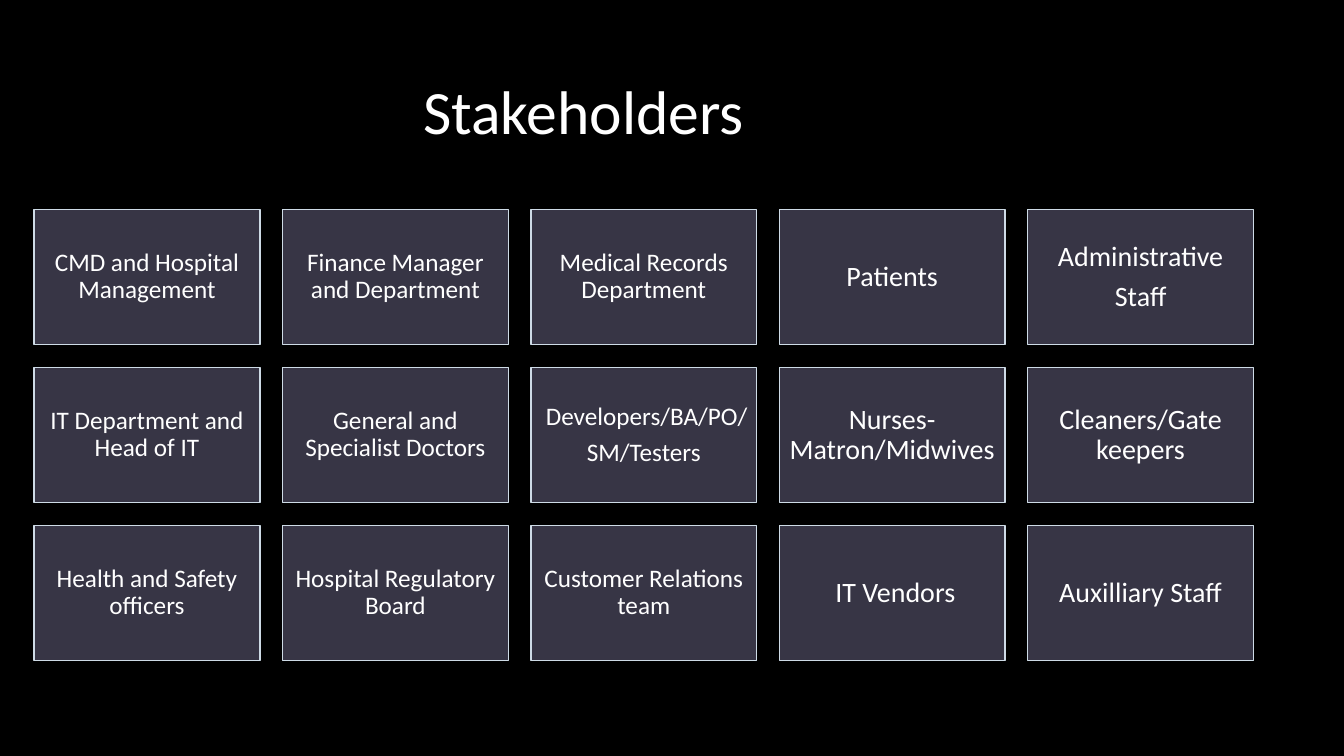
from pptx import Presentation
from pptx.dml.color import RGBColor
from pptx.enum.shapes import MSO_SHAPE
from pptx.enum.text import MSO_ANCHOR, MSO_AUTO_SIZE, PP_ALIGN
from pptx.util import Cm, Pt

RECTANGLE = MSO_SHAPE.RECTANGLE
MIDDLE = MSO_ANCHOR.MIDDLE
NO_AUTOFIT = MSO_AUTO_SIZE.NONE
LEFT, CENTER = PP_ALIGN.LEFT, PP_ALIGN.CENTER

# Content: rows of cards, each card a tuple of paragraphs
TITLE = "Stakeholders"
STAKEHOLDERS = [
    [("CMD and Hospital Management",), ("Finance Manager and Department",),
     ("Medical Records Department",), ("Patients",),
     ("Administrative", "Staff")],
    [("IT Department and Head of IT",), ("General and Specialist Doctors",),
     (" Developers/BA/PO/", "SM/Testers"), ("Nurses- Matron/Midwives",),
     ("Cleaners/Gate keepers",)],
    [("Health and Safety officers",), ("Hospital Regulatory Board",),
     ("Customer Relations team",), (" IT Vendors",), ("Auxilliary Staff",)],
]

# Style
COLORS = {"background": "000000", "card": "373545", "border": "CEDBE6", "text": "FFFFFF"}
FONT = "Calibri"
TITLE_SIZE = 44
COLUMN_SIZES = (18, 18, 18, 20, 20)
COLUMN_INSETS = (0.18, 0.18, 0.18, 0.2, 0.2)

# Card grid in centimetres
GRID_LEFT, GRID_TOP = 0.86, 5.28
CARD_WIDTH, CARD_HEIGHT = 5.69, 3.41
GAP = 0.57


def color(name):
    return RGBColor.from_string(COLORS[name])


def write(frame, paragraphs, size, alignment, space_after=0):
    frame.word_wrap = True
    frame.vertical_anchor = MIDDLE
    for index, words in enumerate(paragraphs):
        paragraph = frame.add_paragraph() if index else frame.paragraphs[0]
        paragraph.alignment = alignment
        paragraph.line_spacing = 0.9
        paragraph.space_after = Pt(space_after)
        run = paragraph.add_run()
        run.text = words
        run.font.name = FONT
        run.font.size = Pt(size)
        run.font.color.rgb = color("text")


def add_card(slide, row, column, paragraphs):
    left = GRID_LEFT + column * (CARD_WIDTH + GAP)
    top = GRID_TOP + row * (CARD_HEIGHT + GAP)
    card = slide.shapes.add_shape(
        RECTANGLE, Cm(left), Cm(top), Cm(CARD_WIDTH), Cm(CARD_HEIGHT))
    card.shadow.inherit = False
    card.fill.solid()
    card.fill.fore_color.rgb = color("card")
    card.line.color.rgb = color("border")
    card.line.width = Pt(1)
    frame = card.text_frame
    inset = Cm(COLUMN_INSETS[column])
    frame.margin_left = frame.margin_right = inset
    frame.margin_top = frame.margin_bottom = inset
    size = COLUMN_SIZES[column]
    write(frame, paragraphs, size, CENTER, space_after=0.35 * size)


def main():
    deck = Presentation()
    deck.slide_width, deck.slide_height = Cm(33.87), Cm(19.05)
    slide = deck.slides.add_slide(deck.slide_layouts.get_by_name("Title Only"))
    slide.background.fill.solid()
    slide.background.fill.fore_color.rgb = color("background")

    # Title
    title = slide.shapes.title
    title.left, title.top = Cm(10.41), Cm(1.35)
    title.width, title.height = Cm(8.84), Cm(3.05)
    title.text_frame.auto_size = NO_AUTOFIT
    write(title.text_frame, [TITLE], TITLE_SIZE, LEFT)

    # Stakeholder cards
    for row, cards in enumerate(STAKEHOLDERS):
        for column, paragraphs in enumerate(cards):
            add_card(slide, row, column, paragraphs)

    deck.save("out.pptx")


if __name__ == "__main__":
    main()
